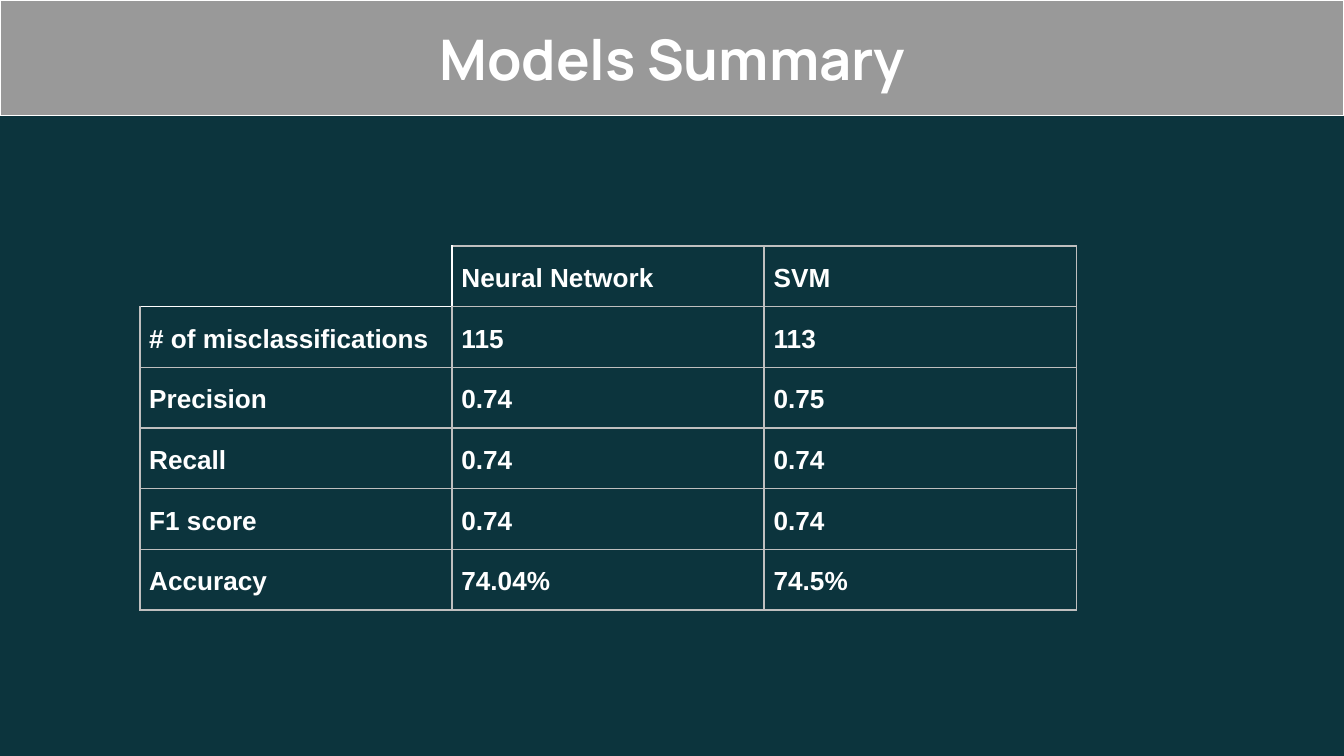
import pptx
import pptx.util
import pptx.dml.color
import pptx.enum.text
import pptx.oxml.ns
from lxml import etree

Inches, Pt = pptx.util.Inches, pptx.util.Pt

COLORS = {"background": "0C343D", "banner": "999999", "text": "FFFFFF",
          "grid": "BFBFBF", "corner": "FFFFFF"}
TITLE = "Models Summary"
ROWS = [
    ("", "Neural Network", "SVM"),
    ("# of misclassifications", "115", "113"),
    ("Precision", "0.74", "0.75"),
    ("Recall", "0.74", "0.74"),
    ("F1 score", "0.74", "0.74"),
    ("Accuracy", "74.04%", "74.5%"),
]
LEFT, TOP, TABLE_WIDTH, ROW_HEIGHT = 1.04, 1.83, 6.97, 0.45


def rgb(name):
    return pptx.dml.color.RGBColor.from_string(COLORS[name])


def set_font(p, name, size):
    p.font.name = name
    p.font.size = Pt(size)
    p.font.bold = True
    p.font.color.rgb = rgb("text")


def set_borders(cell, sides):
    """Draw the cell's L, R, T and B edges; a side mapped to None stays empty."""
    qn = pptx.oxml.ns.qn
    tcPr = cell._tc.get_or_add_tcPr()
    for side in "LRTB":
        ln = etree.SubElement(tcPr, qn(f"a:ln{side}"), w=str(Pt(1)))
        if sides[side]:
            fill = etree.SubElement(ln, qn("a:solidFill"))
            etree.SubElement(fill, qn("a:srgbClr"), val=COLORS[sides[side]])
        else:
            etree.SubElement(ln, qn("a:noFill"))


def border_sides(row, col):
    """The corner cell is open outside and has lighter edges inside."""
    if (row, col) == (0, 0):
        return {"L": None, "T": None, "R": "corner", "B": "corner"}
    sides = dict.fromkeys("LRTB", "grid")
    if (row, col) == (0, 1):
        sides["L"] = "corner"
    if (row, col) == (1, 0):
        sides["T"] = "corner"
    return sides


def add_title(s):
    sp = s.shapes.title
    sp.left, sp.top, sp.width, sp.height = 0, 0, Inches(10), Inches(0.86)
    sp.fill.solid()
    sp.fill.fore_color.rgb = rgb("banner")
    sp.line.color.rgb = rgb("text")
    sp.line.width = Pt(0.75)
    tf = sp.text_frame
    tf.text = TITLE
    tf.vertical_anchor = pptx.enum.text.MSO_ANCHOR.MIDDLE
    tf.margin_left = tf.margin_right = tf.margin_top = tf.margin_bottom = Inches(0.1)
    p = tf.paragraphs[0]
    p.alignment = pptx.enum.text.PP_ALIGN.CENTER
    set_font(p, "Manrope", 30)


def add_results_table(s):
    n_rows, n_cols = len(ROWS), len(ROWS[0])
    table = s.shapes.add_table(
        n_rows, n_cols, Inches(LEFT), Inches(TOP),
        Inches(TABLE_WIDTH), Inches(ROW_HEIGHT * n_rows)).table
    table.first_row = table.horz_banding = False
    for row, values in enumerate(ROWS):
        for col, value in enumerate(values):
            cell = table.cell(row, col)
            set_borders(cell, border_sides(row, col))
            cell.fill.background()
            if not value:
                continue
            cell.text = value
            cell.margin_left = cell.margin_right = Inches(0.07)
            cell.margin_top = cell.margin_bottom = Inches(0.1)
            p = cell.text_frame.paragraphs[0]
            p.line_spacing = 1.15
            set_font(p, "Arial", 14)


prs = pptx.Presentation()
prs.slide_width = Inches(10)
prs.slide_height = prs.slide_width * 9 // 16
s = prs.slides.add_slide(prs.slide_layouts[5])
s.background.fill.solid()
s.background.fill.fore_color.rgb = rgb("background")
add_title(s)
add_results_table(s)
prs.save("out.pptx")
